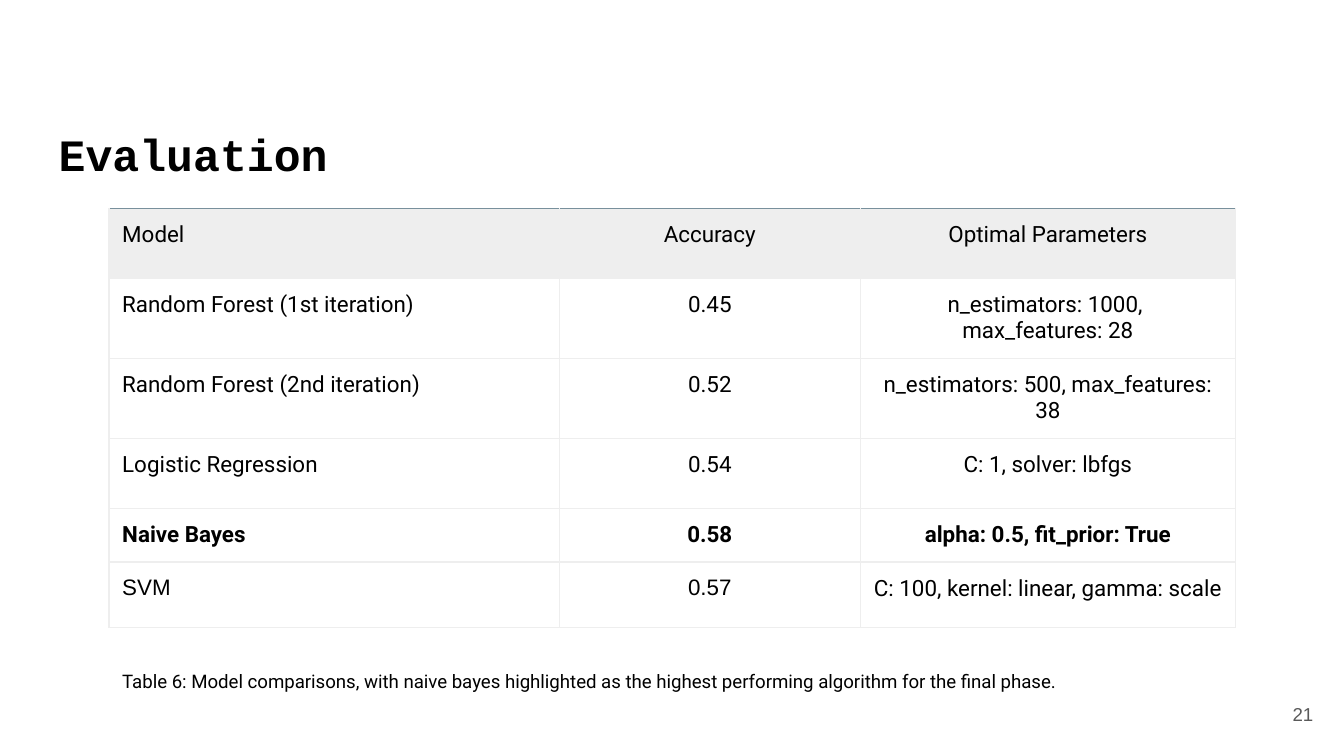
from lxml.etree import SubElement
from pptx import Presentation
from pptx.dml.color import RGBColor
from pptx.enum.text import MSO_ANCHOR as ANCHOR, PP_ALIGN as ALIGN
from pptx.oxml.ns import qn
from pptx.util import Cm, Pt

BLACK = RGBColor(0x00, 0x00, 0x00)
WHITE = RGBColor(0xFF, 0xFF, 0xFF)
GRAY = RGBColor(0x59, 0x59, 0x59)
LIGHT = RGBColor(0xEE, 0xEE, 0xEE)
SLATE = RGBColor(0x78, 0x90, 0x9C)
INSET = Cm(0.25)


def write(tf, text, align, color=BLACK, **font):
    """Put each line of text in its own paragraph, with the given font values."""
    tf.word_wrap = True
    for i, line in enumerate(text.split("\n")):
        p = tf.paragraphs[0] if i == 0 else tf.add_paragraph()
        p.alignment = align
        r = p.add_run()
        r.text = line
        r.font.color.rgb = color
        for name, value in font.items():
            setattr(r.font, name, value)


def set_border(cell, side, color):
    ln = SubElement(cell._tc.get_or_add_tcPr(), qn(f"a:ln{side}"), w=str(Pt(0.75)))
    fill = SubElement(ln, qn("a:solidFill"))
    SubElement(fill, qn("a:srgbClr"), val=str(color))


prs = Presentation()
prs.slide_width, prs.slide_height = Cm(25.4), Cm(14.29)
s = prs.slides.add_slide(prs.slide_layouts[6])

# Title, slide number and caption
texts = [
    ("Evaluation", (0.86, 1.55, 7.8, 2.11), ANCHOR.BOTTOM, ALIGN.LEFT,
     dict(name="Courier New", size=Pt(24), bold=True)),
    ("21", (23.55, 12.95, 1.52, 1.09), ANCHOR.MIDDLE, ALIGN.RIGHT,
     dict(name="Arial", size=Pt(10), color=GRAY)),
    ("Table 6: Model comparisons, with naive bayes highlighted as the highest "
     "performing algorithm for the final phase.",
     (2.06, 12.45, 20.9, 1.47), ANCHOR.TOP, ALIGN.LEFT,
     dict(name="Roboto", size=Pt(10))),
]
for text, box, anchor, align, font in texts:
    tf = s.shapes.add_textbox(*map(Cm, box)).text_frame
    tf.vertical_anchor = anchor
    tf.margin_left = tf.margin_right = tf.margin_top = tf.margin_bottom = INSET
    write(tf, text, align, **font)

# Model comparison table
rows = [
    ("Model", "Accuracy", "Optimal Parameters"),
    ("Random Forest (1st iteration)", "0.45", "n_estimators: 1000, \nmax_features: 28"),
    ("Random Forest (2nd iteration)", "0.52", "n_estimators: 500, max_features: 38"),
    ("Logistic Regression", "0.54", "C: 1, solver: lbfgs"),
    ("Naive Bayes", "0.58", "alpha: 0.5, fit_prior: True"),
    ("SVM", "0.57", "C: 100, kernel: linear, gamma: scale"),
]
widths = [8.51, 5.69, 7.09]
heights = [1.32, 1.24, 1.24, 1.32, 1, 1.24]
table = s.shapes.add_table(len(rows), len(widths), Cm(2.06), Cm(3.94),
                           Cm(sum(widths)), Cm(sum(heights))).table
table.first_row = table.horz_banding = False
for column, width in zip(table.columns, widths):
    column.width = Cm(width)

for i, (row, height) in enumerate(zip(rows, heights)):
    table.rows[i].height = Cm(height)
    for j, text in enumerate(row):
        cell = table.cell(i, j)
        cell.margin_left = cell.margin_right = INSET
        cell.margin_top = cell.margin_bottom = INSET
        for side in "LRTB":
            set_border(cell, side, SLATE if i == 0 and side == "T" else LIGHT)
        cell.fill.solid()
        cell.fill.fore_color.rgb = LIGHT if i == 0 else WHITE
        write(cell.text_frame, text, ALIGN.LEFT if j == 0 else ALIGN.CENTER,
              name="Arial" if row[0] == "SVM" and j < 2 else "Roboto",
              size=Pt(12), bold=row[0] == "Naive Bayes")

prs.save("out.pptx")
